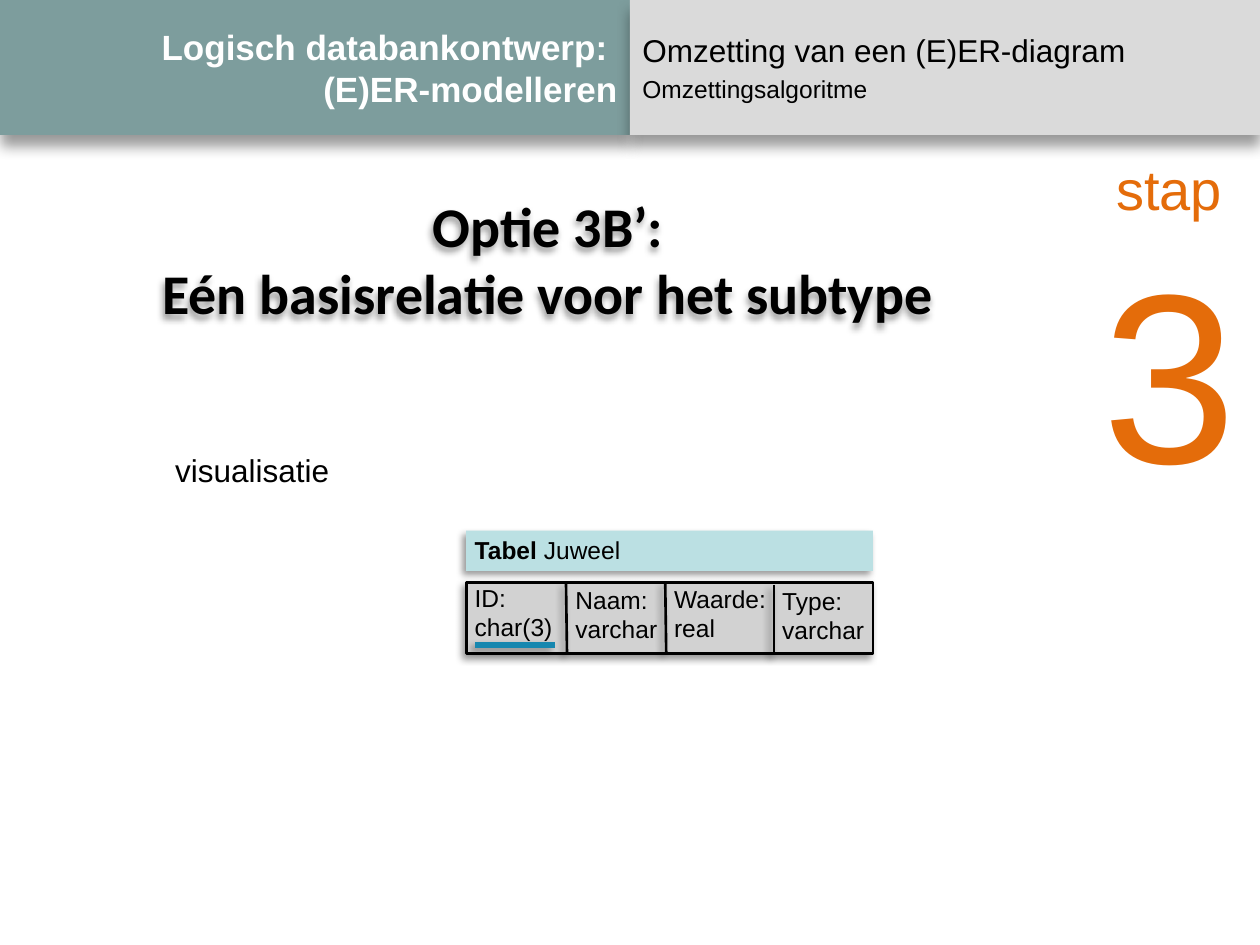
import pptx
import pptx.util
import pptx.dml.color
import pptx.enum.shapes
import pptx.enum.text
import pptx.oxml

Cm, Pt = pptx.util.Cm, pptx.util.Pt
RGBColor = pptx.dml.color.RGBColor
PP_ALIGN = pptx.enum.text.PP_ALIGN

BLACK = RGBColor(0x00, 0x00, 0x00)
WHITE = RGBColor(0xFF, 0xFF, 0xFF)
TEAL = RGBColor(0x7D, 0x9D, 0x9D)
LIGHT_GREY = RGBColor(0xDA, 0xDA, 0xDA)
CELL_GREY = RGBColor(0xD2, 0xD2, 0xD2)
PALE_BLUE = RGBColor(0xBB, 0xE0, 0xE3)
KEY_BLUE = RGBColor(0x16, 0x87, 0xAF)
ORANGE = RGBColor(0xE4, 0x6C, 0x0A)

# Shadows as (blur in pt, distance in pt, direction in degrees)
HEADER_SHADOW = (8, 6, 90)
TABLE_SHADOW = (4, 3, 135)


def add_shadow(sp, blur, dist, angle):
    sp._element.spPr.append(pptx.oxml.parse_xml(
        '<a:effectLst xmlns:a="http://schemas.openxmlformats.org/drawingml/2006/main">'
        f'<a:outerShdw blurRad="{Pt(blur)}" dist="{Pt(dist)}" dir="{angle * 60000}" '
        'algn="ctr" rotWithShape="0"><a:srgbClr val="000000"><a:alpha val="40000"/>'
        '</a:srgbClr></a:outerShdw></a:effectLst>'))


def add_box(s, x, y, w, h, fill, shadow, line=None):
    sp = s.shapes.add_shape(pptx.enum.shapes.MSO_SHAPE.RECTANGLE,
                            Cm(x), Cm(y), Cm(w), Cm(h))
    sp.fill.solid()
    sp.fill.fore_color.rgb = fill
    if line is None:
        sp.line.fill.background()
    else:
        sp.line.color.rgb = line
        sp.line.width = Pt(1.5)
    add_shadow(sp, *shadow)
    return sp


def add_line(s, x1, y1, x2, y2, color, width):
    line = s.shapes.add_connector(pptx.enum.shapes.MSO_CONNECTOR.STRAIGHT,
                                  Cm(x1), Cm(y1), Cm(x2), Cm(y2))
    line.line.color.rgb = color
    line.line.width = Pt(width)
    add_shadow(line, *TABLE_SHADOW)


def write(tf, text, sizes, color=BLACK, align=PP_ALIGN.LEFT, font="Arial", bold=False):
    """Fill a text frame; sizes gives one size per paragraph."""
    tf.text = text
    for p, size in zip(tf.paragraphs, sizes):
        p.alignment = align
        for r in p.runs:
            r.font.name = font
            r.font.size = Pt(size)
            r.font.bold = bold
            r.font.color.rgb = color


def add_text(s, x, y, w, h, text, sizes, **style):
    sp = s.shapes.add_textbox(Cm(x), Cm(y), Cm(w), Cm(h))
    sp.text_frame.word_wrap = False
    sp.text_frame.auto_size = pptx.enum.text.MSO_AUTO_SIZE.SHAPE_TO_FIT_TEXT
    write(sp.text_frame, text, sizes, **style)
    return sp


def add_header(s):
    left = add_box(s, 0, 0, 12.7, 2.72, TEAL, HEADER_SHADOW)
    write(left.text_frame, "Logisch databankontwerp: \v(E)ER-modelleren", [20],
          color=WHITE, align=PP_ALIGN.RIGHT, bold=True)
    right = add_box(s, 12.7, 0, 12.7, 2.72, LIGHT_GREY, HEADER_SHADOW)
    write(right.text_frame,
          "Omzetting van een (E)ER-diagram\nOmzettingsalgoritme", [18, 14])
    right.text_frame.paragraphs[1].space_before = Pt(2.8)


def add_title(s):
    title = add_text(s, 2.82, 3.73, 16.46, 3,
                     "Optie 3B’:\vEén basisrelatie voor het subtype", [32],
                     align=PP_ALIGN.CENTER, font="Calibri", bold=True)
    # An unfilled box casts the shadow of its text
    add_shadow(title, *TABLE_SHADOW)


def add_relation(s):
    # Name bar
    add_box(s, 9.4, 10.7, 8.2, 0.81, PALE_BLUE, TABLE_SHADOW)
    name = add_text(s, 9.32, 10.67, 3.45, 0.86, "Tabel ", [14], bold=True)
    r = name.text_frame.paragraphs[0].add_run()
    r.text = "Juweel"
    r.font.name = "Arial"
    r.font.size = Pt(14)
    r.font.color.rgb = BLACK

    # Attribute row, with the primary key underlined
    add_box(s, 9.4, 11.74, 8.2, 1.43, CELL_GREY, TABLE_SHADOW, line=BLACK)
    add_line(s, 9.58, 13, 11.18, 13, KEY_BLUE, 3)
    for x1, x2, top in ((11.41, 11.43, 11.76), (13.41, 13.43, 11.74), (15.6, 15.6, 11.79)):
        add_line(s, x1, top, x2, top + 1.42, BLACK, 1.5)
    for x, y, w, text in ((9.32, 11.63, 2.2, "ID:\nchar(3)"),
                          (11.35, 11.67, 2.2, "Naam:\nvarchar"),
                          (13.34, 11.65, 2.4, "Waarde:\nreal"),
                          (15.52, 11.69, 2.2, "Type:\nvarchar")):
        add_text(s, x, y, w, 1.45, text, [14, 14])


def main():
    prs = pptx.Presentation()
    prs.slide_width, prs.slide_height = Cm(25.4), Cm(19.05)
    s = prs.slides.add_slide(prs.slide_layouts[6])

    add_header(s)
    # Step marker and caption
    add_text(s, 21.92, 3, 3.3, 7.52, "stap\n3", [32, 138],
             color=ORANGE, align=PP_ALIGN.CENTER)
    add_text(s, 3.28, 8.97, 3.61, 1.02, "visualisatie", [18])
    add_relation(s)
    add_title(s)

    prs.save("out.pptx")


if __name__ == "__main__":
    main()
